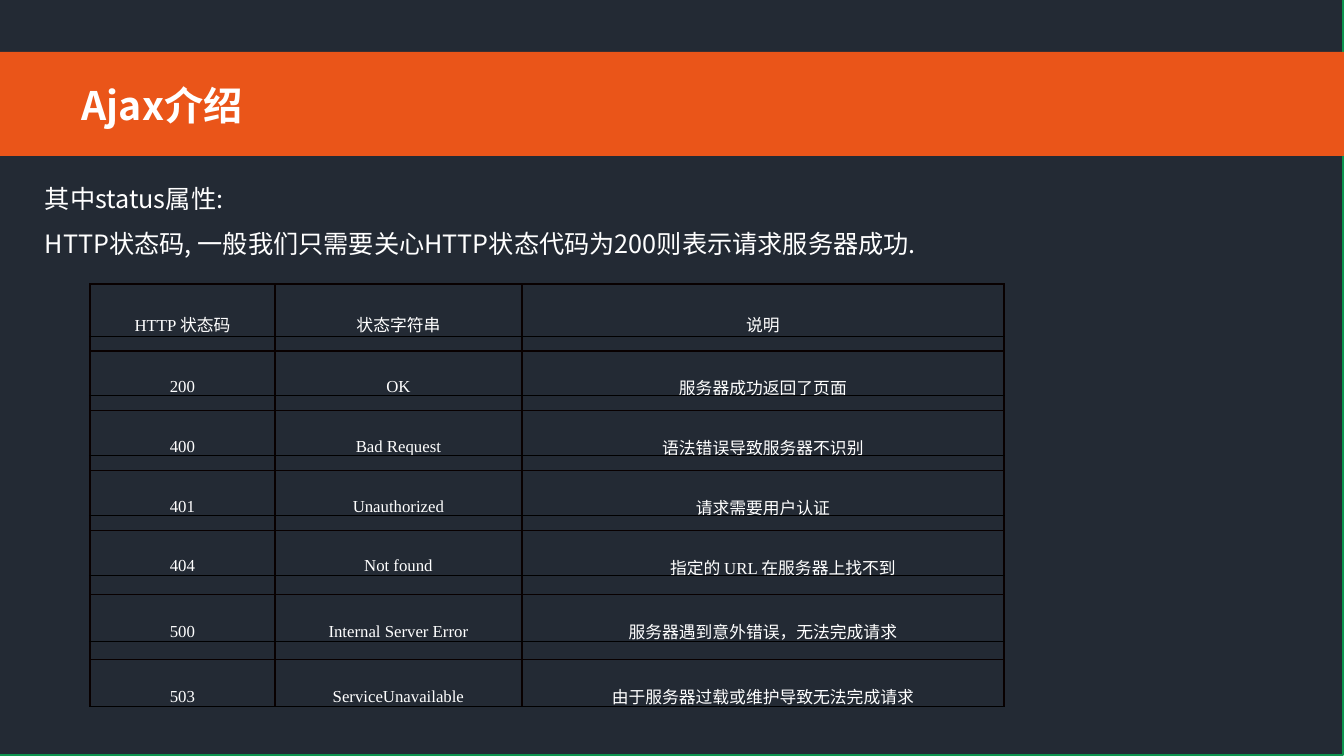
from pptx import Presentation
from pptx.dml.color import RGBColor
from pptx.enum.shapes import MSO_SHAPE
from pptx.enum.text import MSO_ANCHOR, PP_ALIGN
from pptx.oxml.ns import qn
from pptx.util import Pt
from lxml.etree import SubElement

SCALE = 914400 / 100.8
COLORS = {"night": "232A34", "orange": "EA5519", "green": "0D944E",
          "white": "FFFFFF", "dark": "080000", "black": "000000"}
SANS = "Noto Sans CJK SC"
SERIF = "Times New Roman"


def emu(px):
    return round(px * SCALE)


def color(name):
    return RGBColor.from_string(COLORS[name])


class Deck:
    def __init__(self, width, height):
        self.show = Presentation()
        self.show.slide_width, self.show.slide_height = emu(width), emu(height)
        self.slide = self.show.slides.add_slide(self.show.slide_layouts[6])

    def style(self, run, size, face=SANS, bold=False):
        font = run.font
        font.size, font.name, font.bold = Pt(size), face, bold
        font.color.rgb = color("white")
        SubElement(run._r.get_or_add_rPr(), qn("a:ea")).set("typeface", SANS)

    def rect(self, box, fill, line=None):
        shape = self.slide.shapes.add_shape(MSO_SHAPE.RECTANGLE, *map(emu, box))
        shape.shadow.inherit = False
        shape.fill.solid()
        shape.fill.fore_color.rgb = color(fill)
        if line:
            shape.line.color.rgb = color(line)
            shape.line.width = Pt(1)
        else:
            shape.line.fill.background()

    def text(self, box, words, size, bold=False, spacing=1.0):
        frame = self.slide.shapes.add_textbox(*map(emu, box)).text_frame
        frame.word_wrap = True
        frame.text = words
        for para in frame.paragraphs:
            para.line_spacing = spacing
            for run in para.runs:
                self.style(run, size, bold=bold)

    def border(self, cell, side, tone, width):
        line = SubElement(cell._tc.get_or_add_tcPr(), qn("a:" + side))
        line.set("w", str(Pt(width)))
        fill = SubElement(line, qn("a:solidFill"))
        SubElement(fill, qn("a:srgbClr")).set("val", COLORS[tone])

    def cell(self, cell, parts, spacer):
        cell.margin_left = cell.margin_right = 0
        cell.margin_top = cell.margin_bottom = 0
        cell.vertical_anchor = MSO_ANCHOR.BOTTOM
        edge, thin = ("dark", 1), ("black", 0.75)
        top, bottom = (thin, edge) if spacer else (edge, thin)
        for side, pen in zip(("lnL", "lnR", "lnT", "lnB"), (edge, edge, top, bottom)):
            self.border(cell, side, *pen)
        cell.fill.background()
        para = cell.text_frame.paragraphs[0]
        if spacer:
            SubElement(para._p, qn("a:endParaRPr")).set("sz", "100")
            return
        para.alignment = PP_ALIGN.CENTER
        para.line_spacing = 2.0
        for part in parts:
            run = para.add_run()
            run.text = part
            self.style(run, 12, SERIF if part.isascii() else SANS)

    def table(self, left, top, cols, rows, data):
        frame = self.slide.shapes.add_table(
            len(rows), len(cols), emu(left), emu(top), emu(sum(cols)), emu(sum(rows)))
        grid = frame.table
        grid.first_row = grid.horz_banding = False
        for col, width in zip(grid.columns, cols):
            col.width = emu(width)
        for i, height in enumerate(rows):
            grid.rows[i].height = emu(height)
            for j, parts in enumerate(data[i // 2]):
                self.cell(grid.cell(i, j), parts, i % 2 == 1)
        return grid


deck = Deck(1344, 756)
deck.rect((-1, -1, 1344, 756), "night", "green")
deck.rect((0, 52, 1344, 104), "orange")
deck.text((72, 76, 1065, 57), "Ajax介绍", 28, bold=True)
deck.text((35, 163, 936, 102),
          "其中status属性: \nHTTP状态码, 一般我们只需要关心HTTP状态代码为200则表示请求服务器成功.",
          18, spacing=1.5)

codes = [
    (["HTTP ", "状态码"], ["状态字符串"], ["说明"]),
    (["200"], ["OK"], ["服务器成功返回了页面"]),
    (["400"], ["Bad Request"], ["语法错误导致服务器不识别"]),
    (["401"], ["Unauthorized"], ["请求需要用户认证"]),
    (["404"], ["Not found"], ["指定的 ", "URL ", "在服务器上找不到"]),
    (["500"], ["Internal Server Error"], ["服务器遇到意外错误，无法完成请求"]),
    (["503"], ["ServiceUnavailable"], ["由于服务器过载或维护导致无法完成请求"]),
]
heights = [52, 15] + [45, 15] * 3 + [45, 19, 47, 18, 47]
grid = deck.table(90, 284, [185, 247, 482], heights, codes)
grid.cell(8, 2).margin_left = emu(40)

deck.show.save("out.pptx")
